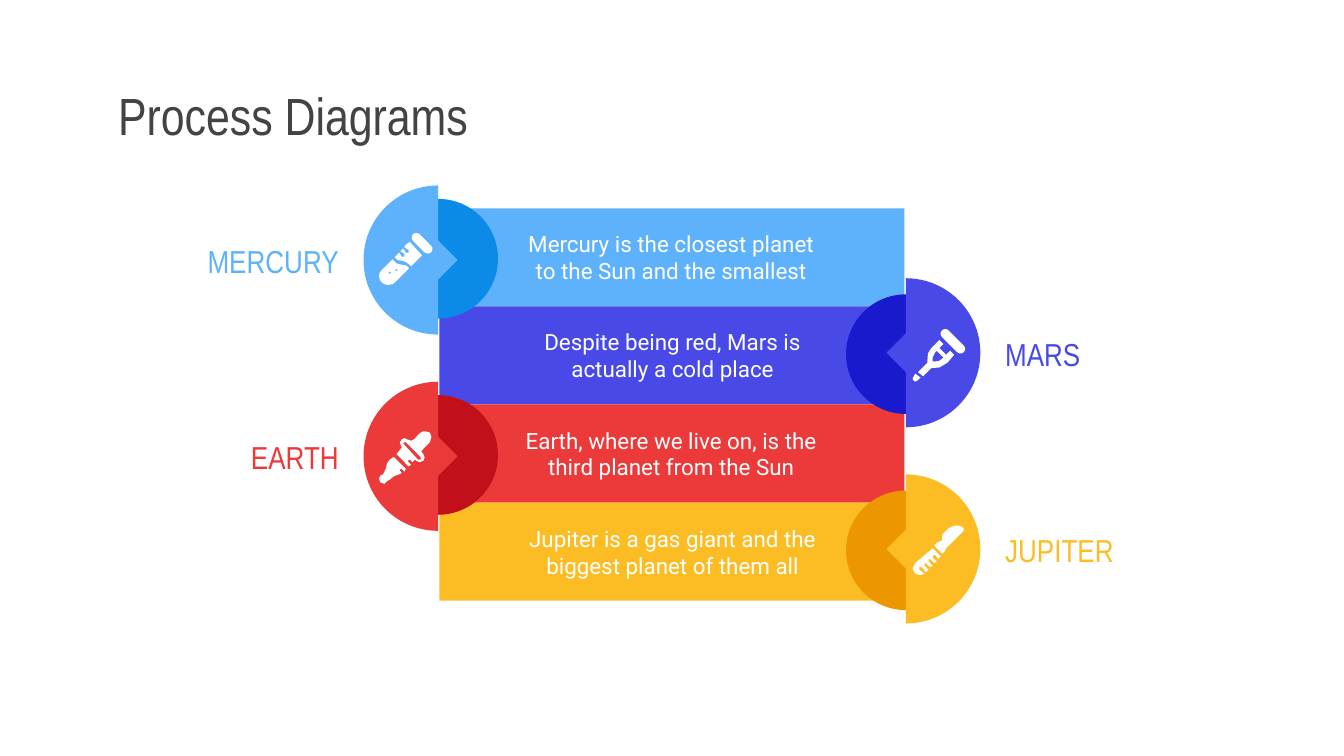
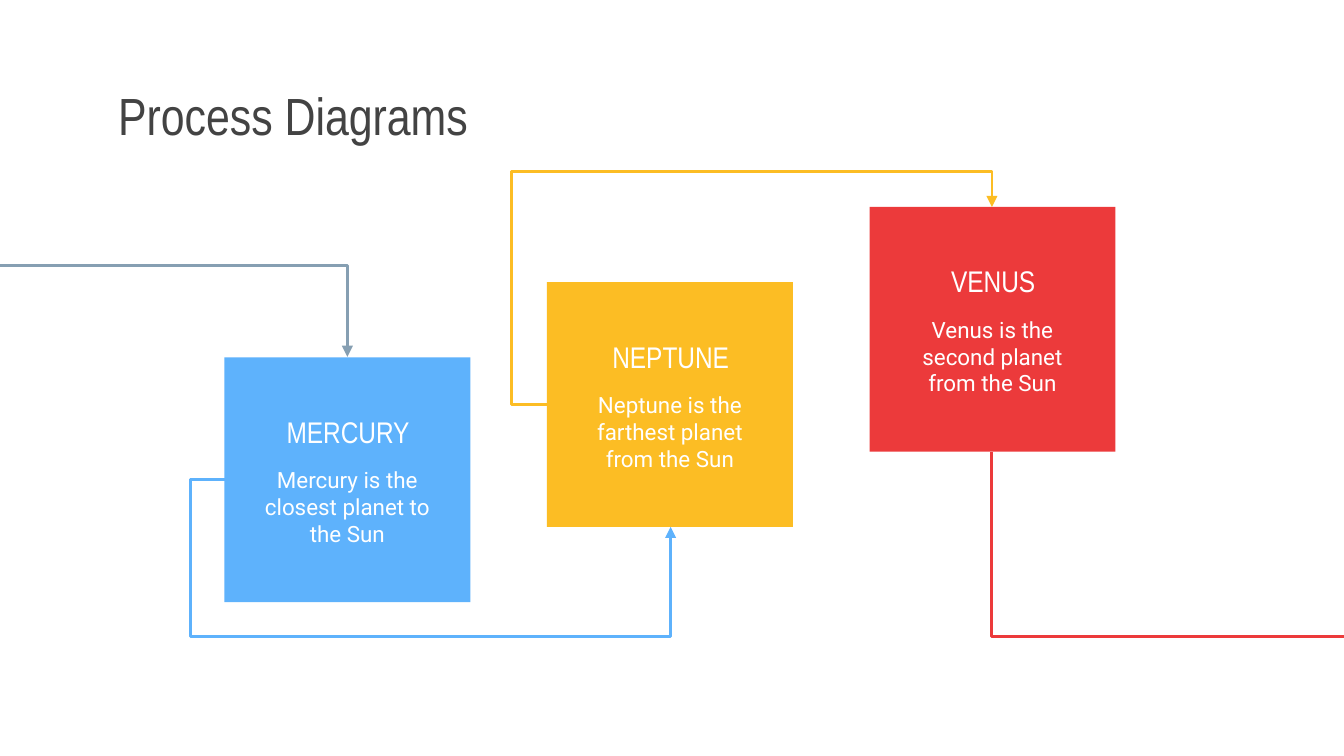
from dataclasses import dataclass
from math import cos, pi, sin

from lxml.etree import SubElement
from pptx import Presentation
from pptx.dml.color import RGBColor
from pptx.enum.shapes import MSO_CONNECTOR, MSO_SHAPE
from pptx.enum.text import MSO_ANCHOR, PP_ALIGN
from pptx.oxml.ns import qn
from pptx.util import Inches, Pt


@dataclass(frozen=True)
class Theme:
    white: str = "FFFFFF"
    ink: str = "434343"
    gray: str = "869FB2"
    blue: str = "5EB2FC"
    sea: str = "0C8AE8"
    violet: str = "4949E7"
    navy: str = "1919CE"
    red: str = "EC3A3B"
    wine: str = "C11019"
    gold: str = "FCBD24"
    amber: str = "ED9700"
    head: str = "Arial Narrow"
    body: str = "Roboto"
    title: int = 28
    label: int = 17
    name: int = 16
    note: int = 12
    line: float = 1.5


THEME = Theme()


class Deck:
    def __init__(self, theme):
        self.theme = theme
        self.deck = Presentation()
        self.deck.slide_width = Inches(10)
        self.deck.slide_height = Inches(5.625)

    def page(self, title):
        self.slide = self.deck.slides.add_slide(self.deck.slide_layouts[6])
        self.shapes = self.slide.shapes
        self.text(title, (0.78, 0.59, 8.45, 0.53), self.theme.title, self.theme.ink)

    def letter(self, shape, text, size, color, font, align, pad=0.1):
        frame = shape.text_frame
        frame.word_wrap = True
        frame.vertical_anchor = MSO_ANCHOR.MIDDLE
        frame.margin_left = frame.margin_right = Inches(pad)
        frame.margin_top = frame.margin_bottom = Inches(0.1)
        frame.text = text
        line = frame.paragraphs[0]
        line.alignment = align
        for run in line.runs:
            run.font.size = Pt(size)
            run.font.name = font
            run.font.color.rgb = RGBColor.from_string(color)

    def text(self, text, box, size, color, font=None, align=PP_ALIGN.LEFT):
        shape = self.shapes.add_textbox(*map(Inches, box))
        self.letter(shape, text, size, color, font or self.theme.head, align)

    def paint(self, shape, color):
        shape.shadow.inherit = False
        shape.fill.solid()
        shape.fill.fore_color.rgb = RGBColor.from_string(color)
        shape.line.fill.background()
        return shape

    def shape(self, kind, box, color, turn=0):
        shape = self.paint(self.shapes.add_shape(kind, *map(Inches, box)), color)
        shape.rotation = turn
        return shape

    def band(self, box, color, text):
        shape = self.shape(MSO_SHAPE.RECTANGLE, box, color)
        self.letter(shape, text, self.theme.note, self.theme.white,
                    self.theme.body, PP_ALIGN.CENTER, 0.6)

    def free(self, rings, color, unit=1):
        rings = [[(Inches(x * unit), Inches(y * unit)) for x, y in ring]
                 for ring in rings]
        shape = self.shapes.build_freeform(*rings[0][0])
        shape.add_line_segments(rings[0][1:], close=True)
        for ring in rings[1:]:
            shape.move_to(*ring[0])
            shape.add_line_segments(ring[1:], close=True)
        self.paint(shape.convert_to_shape(), color)

    def pill(self, x, y, size, thick):
        box = (x - size / 2, y - thick / 2, size, thick)
        shape = self.shape(MSO_SHAPE.ROUNDED_RECTANGLE, box, self.theme.white, 45)
        shape.adjustments[0] = 0.5

    def icon(self, parts):
        for rings in parts:
            self.free(rings, self.theme.white, 0.01)

    def half(self, x, y, side, color):
        r, notch = 0.555, 0.145
        arc = [(x + side * r * cos(a), y + r * sin(a))
               for a in (pi * (i / 48 - 0.5) for i in range(49))]
        tip = [(x, y + notch), (x - side * notch, y), (x, y - notch)]
        self.free([arc + tip], color)

    def bend(self, kind, box, color, turn=0, flip=False, bends=(), end=None):
        x, y, w, h = box
        wire = self.shapes.add_connector(
            MSO_CONNECTOR.ELBOW, *map(Inches, (x, y, x + w, y + h)))
        wire.line.color.rgb = RGBColor.from_string(color)
        wire.line.width = Pt(self.theme.line)
        props = wire.element.spPr
        frame = props.find(qn("a:xfrm"))
        if turn:
            frame.set("rot", str(turn * 60000))
        if flip:
            frame.set("flipH", "1")
        geom = props.find(qn("a:prstGeom"))
        geom.set("prst", kind)
        guides = geom.find(qn("a:avLst"))
        for i, bend in enumerate(bends, 1):
            SubElement(guides, qn("a:gd"), name=f"adj{i}",
                       fmla=f"val {round(bend * 100000)}")
        if end:
            SubElement(props.find(qn("a:ln")), qn(f"a:{end}"), type="triangle")
        SubElement(props, qn("a:effectLst"))


TUBE = [
    [[(292, 193), (284, 201), (282.5, 203), (282, 205), (282.5, 208), (284, 210),
      (286, 211.5), (289, 212), (292, 211.5), (294, 210), (304, 200), (304, 199),
      (302, 197.5), (299, 197), (295, 196)],
     [(295, 200), (296, 201), (295, 202), (294, 201)],
     [(290, 202), (291, 203), (290, 204), (289, 203)]],
    [[(305, 180), (302, 182), (301, 184), (304, 186), (304, 188), (302, 188),
      (300, 185), (298, 187), (301, 189), (301, 191), (299, 191), (297, 188),
      (294, 191), (294, 192), (296, 193.5), (299, 194), (302, 195), (306, 198),
      (314, 190)]],
]
PROBE = [
    [[(681, 278), (680, 280), (679, 282), (680, 283.5), (681, 284), (683, 283),
      (685, 281)]],
    [[(699, 253), (693, 259), (690.5, 263), (690, 270), (683, 277), (687, 280),
      (693, 274), (699, 273.5), (705, 270), (710, 264), (707, 261), (704, 264),
      (699, 259), (702, 256)],
     [(697, 261), (702, 266), (701, 267), (699, 268.5), (696, 269), (694, 269),
      (694, 266), (696, 262)]],
]
DROPPER = [
    [[(293, 340), (290, 342), (288, 345), (287, 349), (285, 353), (283, 354),
      (282, 356), (283, 359), (286, 360), (288, 358), (290, 357), (293, 354.5),
      (297, 353), (299, 352), (297.5, 350), (298, 349), (299, 349), (301, 351),
      (302, 349)]],
    [[(317, 321), (315, 321), (313, 322), (308, 327), (306, 328), (303, 327),
      (301, 326), (299, 327), (297.5, 329.5), (299, 333), (295, 338), (304, 347),
      (306, 346), (304, 344), (303.5, 343), (305, 342), (307, 344), (309, 342),
      (310, 343), (312, 344), (315, 343), (316, 340.5), (315, 338), (313.5, 336),
      (315, 334), (320, 329), (321, 325), (320, 322)],
     [(301, 329), (302, 329), (313, 340), (313, 342), (311, 342), (300, 330)]],
]
COMB = [
    [[(712, 391), (709, 391.5), (706, 393), (701, 398), (701, 402), (699, 403),
      (697, 404), (695, 406), (701, 412), (703, 410), (704, 408), (717, 395),
      (717, 393), (715, 391.5)]],
    [[(694, 408), (681, 419), (679, 423), (681, 427), (685, 428), (688, 427),
      (684, 424), (684, 422), (686, 422), (689, 426), (691, 424), (688, 421),
      (688, 419), (689, 419), (692, 422), (694, 421), (691, 418), (691, 416),
      (692, 416), (695, 419), (697, 418), (694, 415), (694, 414), (695, 413),
      (696, 413), (698, 416), (700, 414)]],
]


def bands(deck):
    t = deck.theme
    steps = [
        ("MERCURY", "Mercury is the closest planet to the Sun and the smallest",
         t.blue, t.sea, TUBE, (3.14, 1.81, 0.19, 0.07)),
        ("MARS", "Despite being red, Mars is actually a cold place",
         t.violet, t.navy, PROBE, (7.09, 2.54, 0.23, 0.07)),
        ("EARTH", "Earth, where we live on, is the third planet from the Sun",
         t.red, t.wine, DROPPER, None),
        ("JUPITER", "Jupiter is a gas giant and the biggest planet of them all",
         t.gold, t.amber, COMB, None),
    ]
    top, high, disc = 1.55, 0.73, 0.89
    deck.page("Process Diagrams")
    for i, (_, note, color, *_) in enumerate(steps):
        deck.band((3.26 + i % 2 * 0.01, top + i * high, 3.47, high), color, note)
    for i, (name, _, color, dark, icon, cap) in enumerate(steps):
        right = i % 2
        side = 1 if right else -1
        x = 6.74 if right else 3.26
        y = top + (i + 0.5) * high - side * 0.02
        deck.shape(MSO_SHAPE.OVAL, (x - disc / 2, y + side * 0.01 - disc / 2,
                                    disc, disc), dark)
        deck.half(x, y, side, color)
        deck.icon(icon)
        if cap:
            deck.pill(*cap)
        deck.text(name, (7.38 if right else 1.31, y - 0.14, 1.31, 0.29),
                  t.label, color,
                  align=PP_ALIGN.LEFT if right else PP_ALIGN.RIGHT)


def stairs(deck):
    t = deck.theme
    steps = [
        ("MERCURY", "Mercury is the closest planet to the Sun", t.blue),
        ("NEPTUNE", "Neptune is the farthest planet from the Sun", t.gold),
        ("VENUS", "Venus is the second planet from the Sun", t.red),
    ]
    deck.page("Process Diagrams")
    for i, (name, note, color) in enumerate(steps):
        x, y = 1.67 + i * 2.4, 2.66 - i * 0.56
        deck.shape(MSO_SHAPE.RECTANGLE, (x, y, 1.83, 1.82), color)
        deck.text(name, (x + 0.16, y + 0.36, 1.52, 0.38), t.name, t.white,
                  align=PP_ALIGN.CENTER)
        deck.text(note, (x + 0.18, y + 0.77, 1.47, 0.68), t.note, t.white,
                  t.body, PP_ALIGN.CENTER)
    deck.bend("bentConnector2", (0.9, 0.97, 0.68, 2.69), t.gray, 90, True,
              end="headEnd")
    deck.bend("bentConnector4", (1.68, 3.57, 3.31, 0.35), t.blue,
              bends=(-0.08, 3.34), end="tailEnd")
    deck.bend("bentConnector4", (4.07, 1.54, 3.31, 1.47), t.gold, 180, True,
              (-0.08, 1.18), "tailEnd")
    deck.bend("bentConnector2", (8.14, 2.6, 1.37, 2.9), t.red, 270, True)


def main():
    deck = Deck(THEME)
    bands(deck)
    stairs(deck)
    deck.deck.save("out.pptx")


if __name__ == "__main__":
    main()
